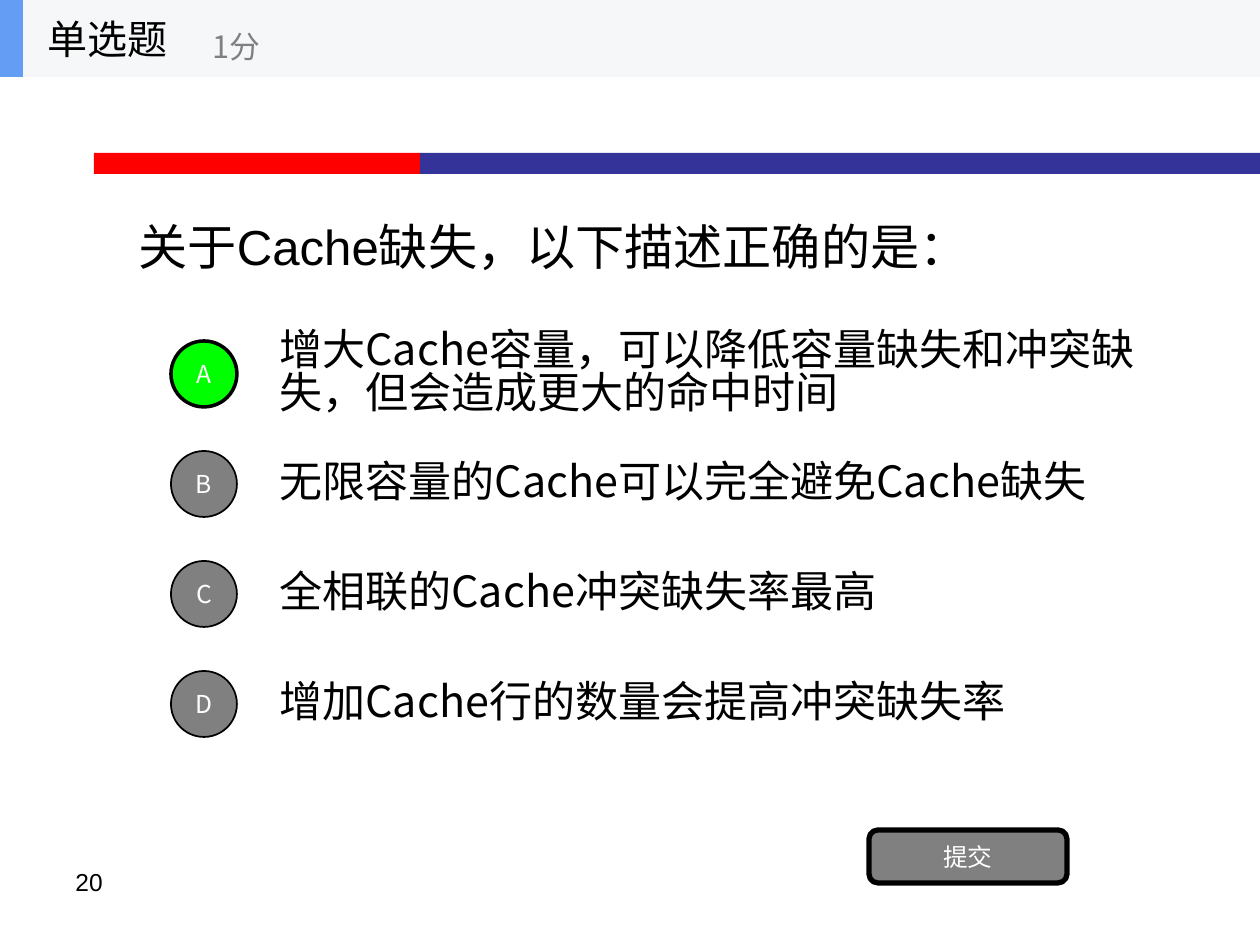
from dataclasses import dataclass

import pptx
import pptx.dml.color
import pptx.enum.shapes
import pptx.enum.text
import pptx.oxml.ns
import pptx.util
from lxml import etree

Shape = pptx.enum.shapes.MSO_SHAPE
Align = pptx.enum.text.PP_ALIGN
Anchor = pptx.enum.text.MSO_ANCHOR

PIXELS_PER_INCH = 126


@dataclass(frozen=True)
class Theme:
    black: str = "000000"
    white: str = "FFFFFF"
    gray: str = "808080"
    correct: str = "00FF00"
    red: str = "FF0000"
    navy: str = "333399"
    header: str = "F6F7F8"
    accent: str = "639EF4"
    latin_font: str = "Arial"
    chinese_font: str = "Noto Sans CJK SC"
    question_size: float = 28.1
    option_size: float = 24.6
    heading_size: float = 22.9
    score_size: float = 17.6
    label_size: float = 14.1
    number_size: float = 14


@dataclass(frozen=True)
class Box:
    left: int
    top: int
    width: int
    height: int

    def emu(self) -> list[int]:
        return [px(v) for v in (self.left, self.top, self.width, self.height)]


@dataclass(frozen=True)
class Option:
    letter: str
    text: str
    correct: bool = False


THEME = Theme()
OPTIONS = [
    Option("A", "增大Cache容量，可以降低容量缺失和冲突缺失，但会造成更大的命中时间", True),
    Option("B", "无限容量的Cache可以完全避免Cache缺失"),
    Option("C", "全相联的Cache冲突缺失率最高"),
    Option("D", "增加Cache行的数量会提高冲突缺失率"),
]
OPTION_TOP = 333
OPTION_PITCH = 110
OPTION_HEIGHT = 83
CIRCLE_SIZE = 66


def px(value: int) -> int:
    return round(value * pptx.util.Inches(1) / PIXELS_PER_INCH)


def rgb(color: str) -> pptx.dml.color.RGBColor:
    return pptx.dml.color.RGBColor.from_string(color)


def write(shape, text: str, size: float, color: str = THEME.black,
          font_name: str = THEME.chinese_font, align=Align.LEFT,
          anchor=Anchor.MIDDLE, line_spacing: float = 1.0) -> None:
    frame = shape.text_frame
    frame.auto_size = pptx.enum.text.MSO_AUTO_SIZE.NONE
    frame.word_wrap = True
    frame.vertical_anchor = anchor
    paragraph = frame.paragraphs[0]
    paragraph.text = text
    paragraph.alignment = align
    paragraph.line_spacing = line_spacing
    font = paragraph.font
    font.size = pptx.util.Pt(size)
    font.color.rgb = rgb(color)
    font.name = font_name
    # Chinese characters take their font from the East Asian slot.
    properties = paragraph._p.pPr.find(pptx.oxml.ns.qn("a:defRPr"))
    etree.SubElement(properties, pptx.oxml.ns.qn("a:ea"), typeface=THEME.chinese_font)


def add_text(slide, box: Box, text: str, size: float, **style) -> None:
    write(slide.shapes.add_textbox(*box.emu()), text, size, **style)


def add_block(slide, kind, box: Box, fill: str, line_width: int = 0):
    shape = slide.shapes.add_shape(kind, *box.emu())
    shape.shadow.inherit = False
    shape.fill.solid()
    shape.fill.fore_color.rgb = rgb(fill)
    if line_width:
        shape.line.color.rgb = rgb(THEME.black)
        shape.line.width = pptx.util.Pt(line_width)
    else:
        shape.line.fill.background()
    return shape


def add_button(slide, kind, box: Box, label: str, fill: str, line_width: int) -> None:
    """Add an outlined shape with a centred white label."""
    shape = add_block(slide, kind, box, fill, line_width)
    frame = shape.text_frame
    frame.margin_left = frame.margin_right = 0
    frame.margin_top = frame.margin_bottom = 0
    write(shape, label, THEME.label_size, color=THEME.white, align=Align.CENTER)


def add_option(slide, index: int, option: Option) -> None:
    top = OPTION_TOP + index * OPTION_PITCH
    add_text(slide, Box(267, top, 882, OPTION_HEIGHT), option.text,
             THEME.option_size, line_spacing=0.83)
    circle = Box(171, top + (OPTION_HEIGHT - CIRCLE_SIZE) // 2, CIRCLE_SIZE, CIRCLE_SIZE)
    fill, line_width = (THEME.correct, 2) if option.correct else (THEME.gray, 1)
    add_button(slide, Shape.OVAL, circle, option.letter, fill, line_width)


def add_header(slide) -> None:
    add_block(slide, Shape.RECTANGLE, Box(0, 0, 1260, 77), THEME.header)
    add_block(slide, Shape.RECTANGLE, Box(0, 0, 23, 77), THEME.accent)
    add_text(slide, Box(35, 0, 231, 77), "单选题", THEME.heading_size)
    add_text(slide, Box(200, 15, 277, 62), "1分", THEME.score_size, color=THEME.gray)


def main() -> None:
    presentation = pptx.Presentation()
    presentation.slide_width = px(1260)
    presentation.slide_height = px(945)
    slide = presentation.slides.add_slide(presentation.slide_layouts[5])

    title = slide.shapes.title
    title.left, title.top, title.width, title.height = Box(126, 108, 1008, 276).emu()
    write(title, "关于Cache缺失，以下描述正确的是：", THEME.question_size,
          font_name=THEME.latin_font)

    add_block(slide, Shape.RECTANGLE, Box(94, 153, 326, 21), THEME.red)
    add_block(slide, Shape.RECTANGLE, Box(420, 153, 840, 21), THEME.navy)
    add_text(slide, Box(63, 861, 294, 65), "20", THEME.number_size,
             font_name=THEME.latin_font, anchor=Anchor.TOP)

    for index, option in enumerate(OPTIONS):
        add_option(slide, index, option)
    add_button(slide, Shape.ROUNDED_RECTANGLE, Box(869, 830, 198, 53), "提交",
               THEME.gray, 3)
    add_header(slide)
    presentation.save("out.pptx")


if __name__ == "__main__":
    main()
